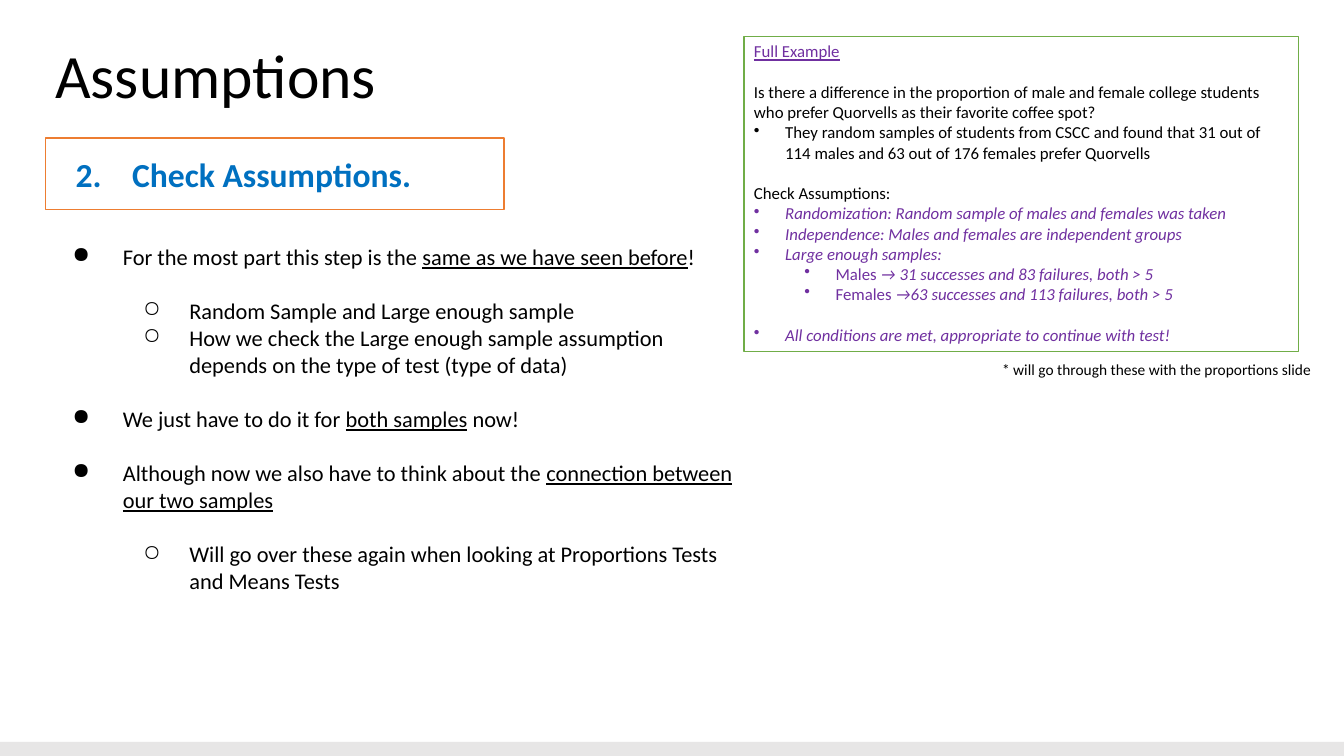
"""Build the slide on checking assumptions for two-sample tests."""
from lxml import etree
from pptx import Presentation
from pptx.dml.color import RGBColor
from pptx.enum.shapes import MSO_SHAPE
from pptx.enum.text import MSO_ANCHOR, PP_ALIGN
from pptx.oxml.ns import qn
from pptx.util import Inches, Pt

RECT = MSO_SHAPE.RECTANGLE
TOP, MIDDLE = MSO_ANCHOR.TOP, MSO_ANCHOR.MIDDLE
LEFT = PP_ALIGN.LEFT
BLACK = RGBColor(0x00, 0x00, 0x00)
WHITE = RGBColor(0xFF, 0xFF, 0xFF)
GREY = RGBColor(0xE7, 0xE6, 0xE6)
BLUE = RGBColor(0x00, 0x70, 0xC0)
PURPLE = RGBColor(0x70, 0x30, 0xA0)
ORANGE = RGBColor(0xED, 0x7D, 0x31)
GREEN = RGBColor(0x70, 0xAD, 0x47)

LINE = {"underline": True}
VIOLET = {"color": PURPLE}
SLANT = {"color": PURPLE, "italic": True}

deck = Presentation()
deck.slide_width, deck.slide_height = Inches(13.33), Inches(7.5)
slide = deck.slides.add_slide(deck.slide_layouts[6])


def add_box(area, fill=None, edge=None):
    """Add a filled rectangle, or a text box when there is no fill."""
    area = [Inches(n) for n in area]
    if fill is None:
        return slide.shapes.add_textbox(*area)
    box = slide.shapes.add_shape(RECT, *area)
    box.shadow.inherit = False
    box.fill.solid()
    box.fill.fore_color.rgb = fill
    if edge is None:
        box.line.fill.background()
    else:
        box.line.color.rgb = edge
        box.line.width = Pt(1)
    return box


def add_text(box, rows, size, marks, pad=(0.1, 0.1), anchor=TOP, wrap=True):
    """Write rows of (level, gap, runs), with marks giving each level's bullet."""
    frame = box.text_frame
    frame.word_wrap = wrap
    frame.vertical_anchor = anchor
    frame.margin_left = frame.margin_right = Inches(pad[0])
    frame.margin_top = frame.margin_bottom = Inches(pad[1])
    for i, (level, gap, runs) in enumerate(rows):
        para = frame.paragraphs[0] if i == 0 else frame.add_paragraph()
        para.alignment = LEFT
        if level is not None:
            margin, hang, tag, attrs = marks[level]
            props = para._p.get_or_add_pPr()
            props.set("marL", str(Inches(margin)))
            props.set("indent", str(Inches(-hang)))
            etree.SubElement(props, qn(tag), attrs)
            para.level = level
        if gap:
            para.space_before = Pt(size * 1.22)
        for text, style in runs:
            run = para.add_run()
            run.text = text
            look = {"name": "Calibri", "size": Pt(size), "color": BLACK, **style}
            run.font.color.rgb = look.pop("color")
            for key, value in look.items():
                setattr(run.font, key, value)
    return frame


add_box((0, 7.36, 13.33, 0.14), GREY)

title = add_text(add_box((0.45, 0.36, 12.42, 0.84)),
                 [(None, False, [("Assumptions", {})])], 44, [], anchor=MIDDLE)
title.paragraphs[0].line_spacing = 0.9

points = [
    (0, False, [("For the most part this step is the ", {}),
                ("same as we have seen before", LINE), ("!", {})]),
    (1, True, [("Random Sample and Large enough sample", {})]),
    (1, False, [("How we check the Large enough sample assumption depends "
                 "on the type of test (type of data)", {})]),
    (0, True, [("We just have to do it for ", {}),
               ("both samples", LINE), (" now!", {})]),
    (0, True, [("Although now we also have to think about the ", {}),
               ("connection between our two samples", LINE)]),
    (1, True, [("Will go over these again when looking at Proportions Tests "
                "and Means Tests", {})]),
]
add_text(add_box((0.45, 2.31, 6.92, 4.98)), points, 16,
         [(0.67, 0.5, "a:buChar", {"char": "●"}),
          (1.33, 0.46, "a:buChar", {"char": "○"})])

step = [(0, False, [("Check Assumptions.", {"color": BLUE, "bold": True})])]
add_text(add_box((0.45, 1.37, 4.55, 0.71), WHITE, ORANGE), step, 24,
         [(0.73, 0.56, "a:buAutoNum", {"type": "arabicPeriod", "startAt": "2"})],
         pad=(0.13, 0.13), anchor=MIDDLE)

case = [
    (None, False, [("Full Example", {**VIOLET, **LINE})]),
    (None, True, [("Is there a difference in the proportion of male and female "
                   "college students who prefer Quorvells as their favorite "
                   "coffee spot?", {})]),
    (0, False, [("They random samples of students from CSCC and found that 31 "
                 "out of 114 males and 63 out of 176 females prefer Quorvells", {})]),
    (None, True, [("Check Assumptions:", {})]),
    (0, False, [("Randomization: Random sample of males and females was taken", SLANT)]),
    (0, False, [("Independence: Males and females are independent groups", SLANT)]),
    (0, False, [("Large enough samples:", SLANT)]),
    (1, False, [("Males ", VIOLET),
                ("→ 31 successes and 83 failures, both > 5", SLANT)]),
    (1, False, [("Females ", VIOLET),
                ("→63 successes and 113 failures, both > 5", SLANT)]),
    (0, True, [("All conditions are met, appropriate to continue with test!", SLANT)]),
]
add_text(add_box((7.38, 0.36, 5.5, 3.13), WHITE, GREEN), case, 12,
         [(margin, 0.31, "a:buChar", {"char": "•"}) for margin in (0.31, 0.81)],
         pad=(0.1, 0.05))

note = [(None, False, [("* will go through these with the proportions slide", {})])]
add_text(add_box((9.84, 3.52, 3.28, 0.29)), note, 11, [],
         pad=(0.1, 0.05), wrap=False)

deck.save("out.pptx")
